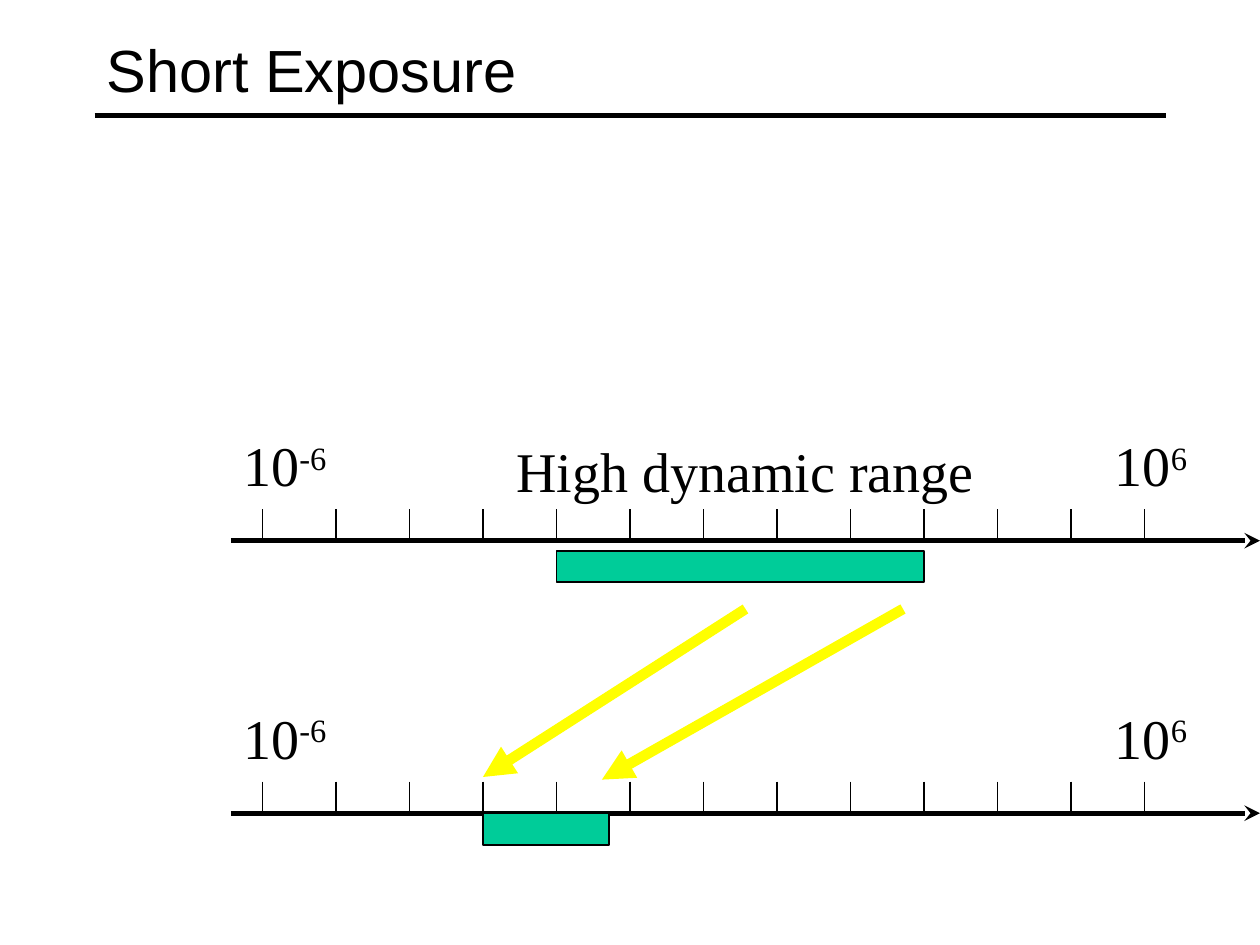
from dataclasses import dataclass

from lxml.etree import SubElement
from pptx import Presentation
from pptx.dml.color import RGBColor
from pptx.enum.shapes import MSO_CONNECTOR, MSO_SHAPE
from pptx.enum.text import MSO_ANCHOR, MSO_AUTO_SIZE
from pptx.oxml.ns import qn
from pptx.util import Pt


@dataclass(frozen=True)
class Theme:
    ink: str = "000000"
    range_fill: str = "00CC99"
    mapping: str = "FFFF00"
    heading_font: str = "Arial"
    body_font: str = "Times New Roman"
    title: int = 34
    scale: int = 32


THEME = Theme()

# Axis geometry in points
AXIS_LEFT, AXIS_RIGHT = 132, 720
TICK_LEFT, TICK_GAP, TICK_COUNT, TICK_HEIGHT = 150, 42, 13, 18
WORLD_Y, PICTURE_Y = 309, 464.7


def add_text(s, box, text, size, font=THEME.body_font,
             sup="", anchor=MSO_ANCHOR.TOP, wrap=False):
    sp = s.shapes.add_textbox(*map(Pt, box))
    tf = sp.text_frame
    frame_format = {
        "word_wrap": wrap,
        "vertical_anchor": anchor,
        "auto_size": MSO_AUTO_SIZE.NONE if wrap else MSO_AUTO_SIZE.SHAPE_TO_FIT_TEXT,
    }
    for name, value in frame_format.items():
        setattr(tf, name, value)
    p = tf.paragraphs[0]
    for part in filter(None, (text, sup)):
        r = p.add_run()
        r.text = part
        for name, value in {"name": font, "size": Pt(size)}.items():
            setattr(r.font, name, value)
        r.font.color.rgb = RGBColor.from_string(THEME.ink)
    if sup:
        r._r.get_or_add_rPr().set("baseline", "30000")


def add_line(s, start, end, width, color=THEME.ink, arrow=None):
    sp = s.shapes.add_connector(MSO_CONNECTOR.STRAIGHT, *map(Pt, (*start, *end)))
    sp.line.width = Pt(width)
    sp.line.color.rgb = RGBColor.from_string(color)
    if arrow:
        SubElement(sp.line._get_or_add_ln(), qn("a:tailEnd"), type=arrow)
    SubElement(sp._element.spPr, qn("a:effectLst"))


def add_range(s, left, top, width):
    sp = s.shapes.add_shape(MSO_SHAPE.RECTANGLE, *map(Pt, (left, top, width, 18)))
    sp.shadow.inherit = False
    sp.fill.solid()
    sp.fill.fore_color.rgb = RGBColor.from_string(THEME.range_fill)
    sp.line.color.rgb = RGBColor.from_string(THEME.ink)
    sp.line.width = Pt(1)


def add_axis(s, y):
    for i in range(TICK_COUNT):
        x = TICK_LEFT + i * TICK_GAP
        add_line(s, (x, y - TICK_HEIGHT), (x, y), 1)
    add_line(s, (AXIS_LEFT, y), (AXIS_RIGHT, y), 3, arrow="stealth")
    for left, width, exponent in ((AXIS_LEFT, 64, "-6"), (630, 57, "6")):
        add_text(s, (left, y - 66.3, width, 45), "10", THEME.scale, sup=exponent)


def main():
    prs = Presentation()
    prs.slide_width, prs.slide_height = Pt(720), Pt(540)
    s = prs.slides.add_slide(prs.slide_layouts[6])

    # Heading
    add_line(s, (54, 66), (666, 66), 3)
    add_text(s, (54, 6, 612, 66), "Short Exposure", THEME.title,
             font=THEME.heading_font, anchor=MSO_ANCHOR.MIDDLE, wrap=True)

    # Scales of the real world and the picture
    for y in (WORLD_Y, PICTURE_Y):
        add_axis(s, y)

    # Mapping from world to picture
    for start, end in (((516, 348), (344, 445.5)), ((426, 348), (276, 444))):
        add_line(s, start, end, 6, THEME.mapping, "triangle")

    # Ranges and caption
    add_range(s, TICK_LEFT + 4 * TICK_GAP, WORLD_Y + 5.7, 5 * TICK_GAP)
    add_range(s, TICK_LEFT + 3 * TICK_GAP, PICTURE_Y, 72)
    add_text(s, (288, 246, 276, 45), "High dynamic range", THEME.scale)

    prs.save("out.pptx")


if __name__ == "__main__":
    main()
